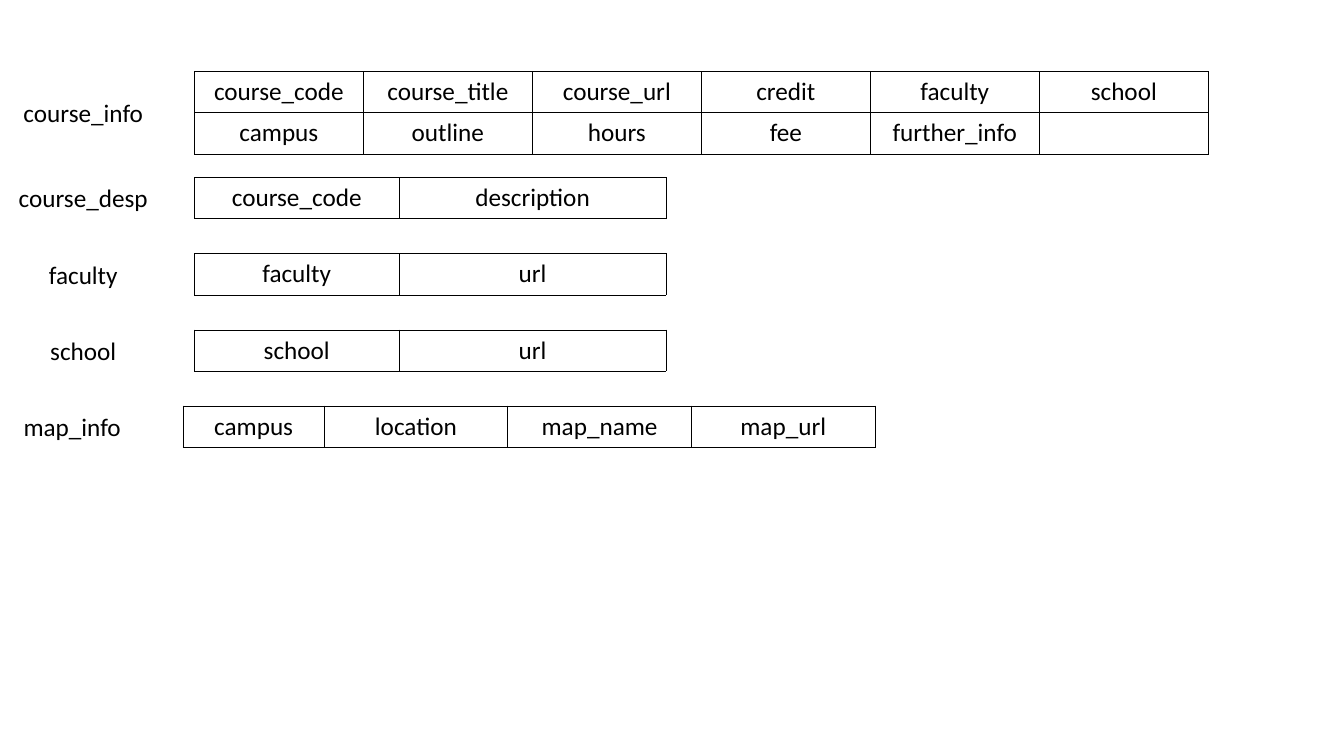
from lxml import etree
from pptx import Presentation, util as u
from pptx.dml.color import RGBColor
from pptx.enum import text
from pptx.oxml import ns

# Content: name, label width, label centre, table left, table top, column widths, rows (cm)
FIRST_TOP, STEP = 4.47, 1.92
PAIR = [5.16, 6.73]
TABLES = [
    ("course_info", 3.6, 2.1, 4.9, 1.8, [4.26] * 6, [
        ["course_code", "course_title", "course_url", "credit", "faculty", "school"],
        ["campus", "outline", "hours", "fee", "further_info", ""]]),
    ("course_desp", 3.85, 2.1, 4.9, FIRST_TOP, PAIR, [["course_code", "description"]]),
    ("faculty", 2.35, 2.1, 4.9, FIRST_TOP + STEP, PAIR, [["faculty", "url"]]),
    ("school", 2.35, 2.1, 4.9, FIRST_TOP + 2 * STEP, PAIR, [["school", "url"]]),
    ("map_info", 3.05, 1.82, 4.62, FIRST_TOP + 3 * STEP, [3.55] + [4.63] * 3,
     [["campus", "location", "map_name", "map_url"]]),
]
ROW_HEIGHT, LABEL_HEIGHT = 1.04, 1.02
BLACK = "000000"


def color(value):
    return RGBColor.from_string(value)


def write(frame, words, size=18, font="Calibri", ink=BLACK):
    para = frame.paragraphs[0]
    para.alignment = text.PP_ALIGN.CENTER
    if words:
        span = para.add_run()
        span.text = words
        span.font.size = u.Pt(size)
        span.font.name = font
        span.font.color.rgb = color(ink)


def add_borders(cell, ink=BLACK, width=0.45):
    properties = cell._tc.get_or_add_tcPr()
    for index, side in enumerate(("lnL", "lnR", "lnT", "lnB")):
        line = etree.Element(ns.qn("a:" + side), w=str(int(u.Pt(width))))
        fill = etree.SubElement(line, ns.qn("a:solidFill"))
        etree.SubElement(fill, ns.qn("a:srgbClr"), val=ink)
        properties.insert(index, line)


def add_label(page, name, left, top, width):
    box = page.shapes.add_textbox(u.Cm(left), u.Cm(top), u.Cm(width), u.Cm(LABEL_HEIGHT))
    box.text_frame.word_wrap = False
    box.text_frame.auto_size = text.MSO_AUTO_SIZE.SHAPE_TO_FIT_TEXT
    write(box.text_frame, name)


def add_grid(page, left, top, widths, rows):
    grid = page.shapes.add_table(
        len(rows), len(widths), u.Cm(left), u.Cm(top),
        u.Cm(sum(widths)), u.Cm(ROW_HEIGHT * len(rows))).table
    grid.first_row = grid.horz_banding = False
    for column, width in zip(grid.columns, widths):
        column.width = u.Cm(width)
    for r, row in enumerate(rows):
        grid.rows[r].height = u.Cm(ROW_HEIGHT)
        for c, words in enumerate(row):
            cell = grid.cell(r, c)
            cell.vertical_anchor = text.MSO_ANCHOR.MIDDLE
            cell.fill.background()
            add_borders(cell)
            write(cell.text_frame, words)


def main():
    deck = Presentation()
    deck.slide_width, deck.slide_height = u.Cm(33.88), u.Cm(19.05)
    page = deck.slides.add_slide(deck.slide_layouts[6])

    # Each label is centred on the height of its table
    for name, label_width, centre, left, top, widths, rows in TABLES:
        label_top = top + (ROW_HEIGHT * len(rows) - LABEL_HEIGHT) / 2
        add_label(page, name, centre - label_width / 2, label_top, label_width)
        add_grid(page, left, top, widths, rows)

    deck.save("out.pptx")


if __name__ == "__main__":
    main()
